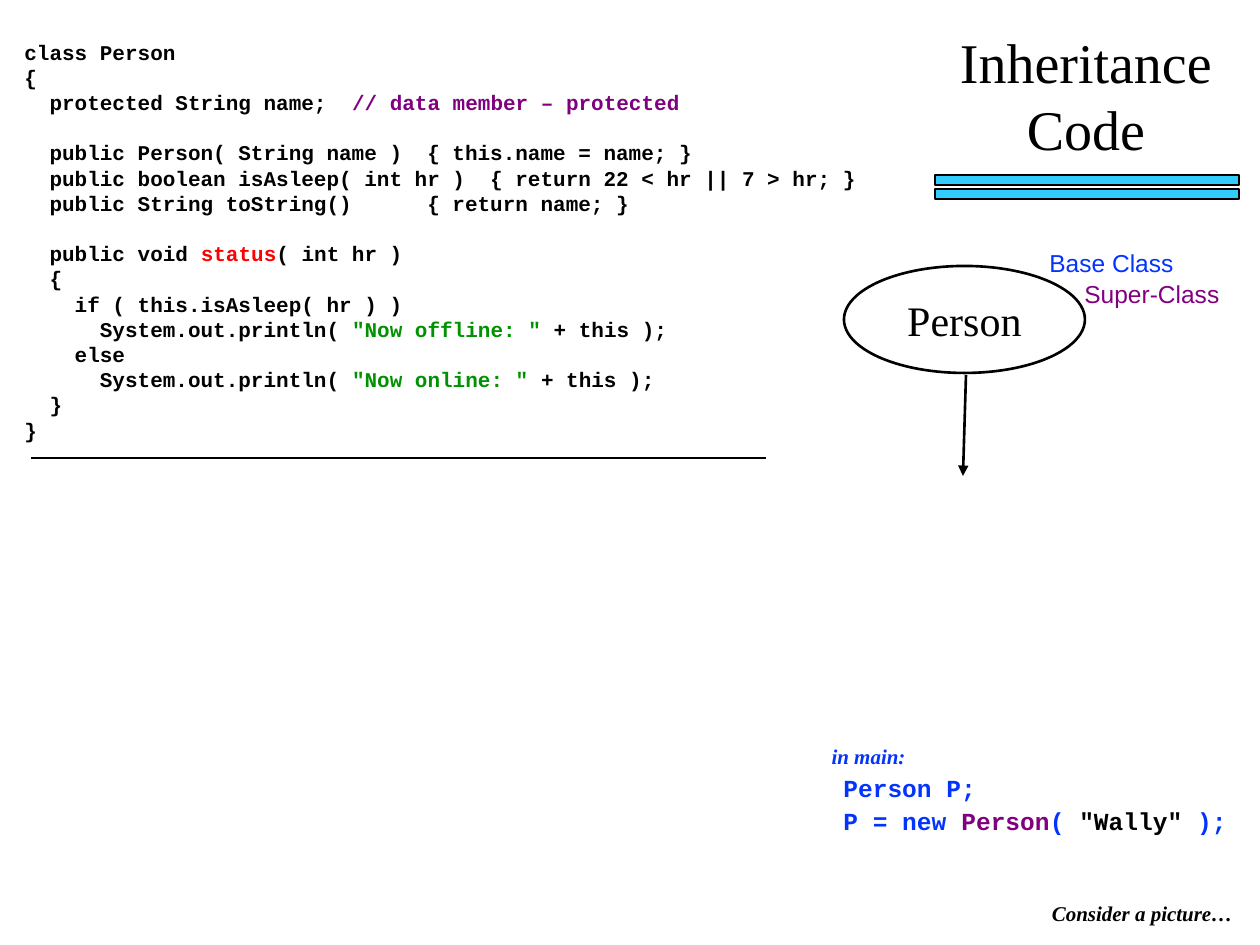
"""Build the slide that shows inheritance code for a Person class."""
from typing import NamedTuple

from lxml.etree import SubElement
from pptx import Presentation
from pptx.dml.color import RGBColor
from pptx.enum.shapes import MSO_CONNECTOR as Link, MSO_SHAPE as Kind
from pptx.enum.text import MSO_ANCHOR as Anchor, MSO_AUTO_SIZE as Fit, PP_ALIGN as Align
from pptx.oxml.ns import qn
from pptx.util import Emu, Pt

SCALE = 914400 / 126
BLACK, BLUE, CYAN = "000000", "0333FF", "33CCFF"
PURPLE, RED, GREEN = "800080", "FF0000", "009200"
SERIF, SANS, MONO = "Times New Roman", "Arial", "Courier New"


class Box(NamedTuple):
    left: int
    top: int
    width: int
    height: int


class Part(NamedTuple):
    text: str
    tint: str


class Line(NamedTuple):
    start: tuple[int, int]
    end: tuple[int, int]
    weight: float
    arrow: bool = False


class Label(NamedTuple):
    box: Box
    rows: list
    style: dict


CODE = [
    "class Person",
    "{",
    ["  protected String name;  ", Part("// data member – protected", PURPLE)],
    "",
    "  public Person( String name )  { this.name = name; }",
    "  public boolean isAsleep( int hr )  { return 22 < hr || 7 > hr; }",
    "  public String toString()      { return name; }",
    "",
    ["  public void ", Part("status", RED), "( int hr )"],
    "  {",
    "    if ( this.isAsleep( hr ) )",
    ["      System.out.println( ", Part('"Now offline: "', GREEN), " + this );"],
    "    else",
    ["      System.out.println( ", Part('"Now online: "', GREEN), " + this );"],
    "  }",
    "}",
]
CALL = [
    "Person P;",
    ["P = new ", Part("Person", PURPLE), "( ", Part('"Wally"', BLACK), " );"],
]
NOTE = dict(size=12, bold=True, slant=True, align=Align.RIGHT)
LABELS = [
    Label(Box(1037, 242, 179, 43), ["Base Class"], dict(face=SANS, size=14, tint=BLUE)),
    Label(Box(1072, 273, 166, 43), ["Super-Class"], dict(face=SANS, size=14, tint=PURPLE)),
    Label(Box(935, 21, 302, 147), ["Inheritance Code"], dict(size=32, align=Align.CENTER)),
    Label(Box(831, 777, 425, 63), CALL,
          dict(face=MONO, size=14, tint=BLUE, bold=True, pitch=0.6, gap=8.8)),
    Label(Box(1025, 894, 220, 38), ["Consider a picture…"], NOTE),
    Label(Box(798, 737, 120, 38), ["in main:"], NOTE | dict(tint=BLUE)),
    Label(Box(12, 33, 985, 416), CODE, dict(face=MONO, size=12, bold=True)),
]
LINES = [
    Line((966, 375), (963, 476), 1.5, arrow=True),
    Line((31, 458), (766, 458), 0.75),
]
OVAL = Box(844, 266, 241, 107)
BARS = [Box(935, top, 304, 10) for top in (175, 189)]


def px(count: int) -> Emu:
    """Turn pixels into EMU."""
    return Emu(round(count * SCALE))


def place(box: Box) -> list[Emu]:
    """Turn a box into EMU lengths."""
    return [px(side) for side in box]


def shade(code: str) -> RGBColor:
    """Turn a hex string into a colour."""
    return RGBColor.from_string(code)


def write(frame, rows: list, *, face: str = SERIF, size: int = 12, tint: str = BLACK,
          bold: bool = False, slant: bool = False, align: Align = Align.LEFT,
          wrap: bool = True, pitch: float = 1.0, gap: float = 0) -> None:
    """Write rows of text, each a string or a list of strings and parts."""
    frame.word_wrap = wrap
    for index, row in enumerate(rows):
        para = frame.add_paragraph() if index else frame.paragraphs[0]
        para.alignment, para.line_spacing = align, pitch
        para.space_before = Pt(gap if index else 0)
        for part in [row] if isinstance(row, str) else row:
            text, hue = part if isinstance(part, Part) else (part, tint)
            run = para.add_run()
            run.text = text
            font = run.font
            font.name, font.size, font.bold, font.italic = face, Pt(size), bold, slant
            font.color.rgb = shade(hue)


def add_label(shapes, label: Label) -> None:
    """Add a text box."""
    frame = shapes.add_textbox(*place(label.box)).text_frame
    write(frame, label.rows, **label.style)
    frame.auto_size = Fit.SHAPE_TO_FIT_TEXT


def add_form(shapes, kind: Kind, box: Box, weight: float, fill: str = ""):
    """Add an outlined shape, filled if a colour is given."""
    form = shapes.add_shape(kind, *place(box))
    form.shadow.inherit = False
    form.line.color.rgb, form.line.width = shade(BLACK), Pt(weight)
    if fill:
        form.fill.solid()
        form.fill.fore_color.rgb = shade(fill)
    else:
        form.fill.background()
    return form


def add_line(shapes, line: Line) -> None:
    """Add a straight line, with an arrowhead if asked."""
    link = shapes.add_connector(Link.STRAIGHT, *place(line.start + line.end))
    link.line.color.rgb, link.line.width = shade(BLACK), Pt(line.weight)
    if line.arrow:
        SubElement(link.line._get_or_add_ln(), qn("a:tailEnd"), type="triangle")
    SubElement(link._element.spPr, qn("a:effectLst"))


def main() -> None:
    """Build and save the slide."""
    deck = Presentation()
    deck.slide_width, deck.slide_height = px(1260), px(945)
    shapes = deck.slides.add_slide(deck.slide_layouts[6]).shapes
    frame = add_form(shapes, Kind.OVAL, OVAL, 1.5).text_frame
    frame.vertical_anchor = Anchor.MIDDLE
    write(frame, ["Person"], size=24, align=Align.CENTER, wrap=False)
    group = shapes.add_group_shape()
    for bar in BARS:
        add_form(group.shapes, Kind.RECTANGLE, bar, 0.75, CYAN)
    for line in LINES:
        add_line(shapes, line)
    for label in LABELS:
        add_label(shapes, label)
    deck.save("out.pptx")


if __name__ == "__main__":
    main()
